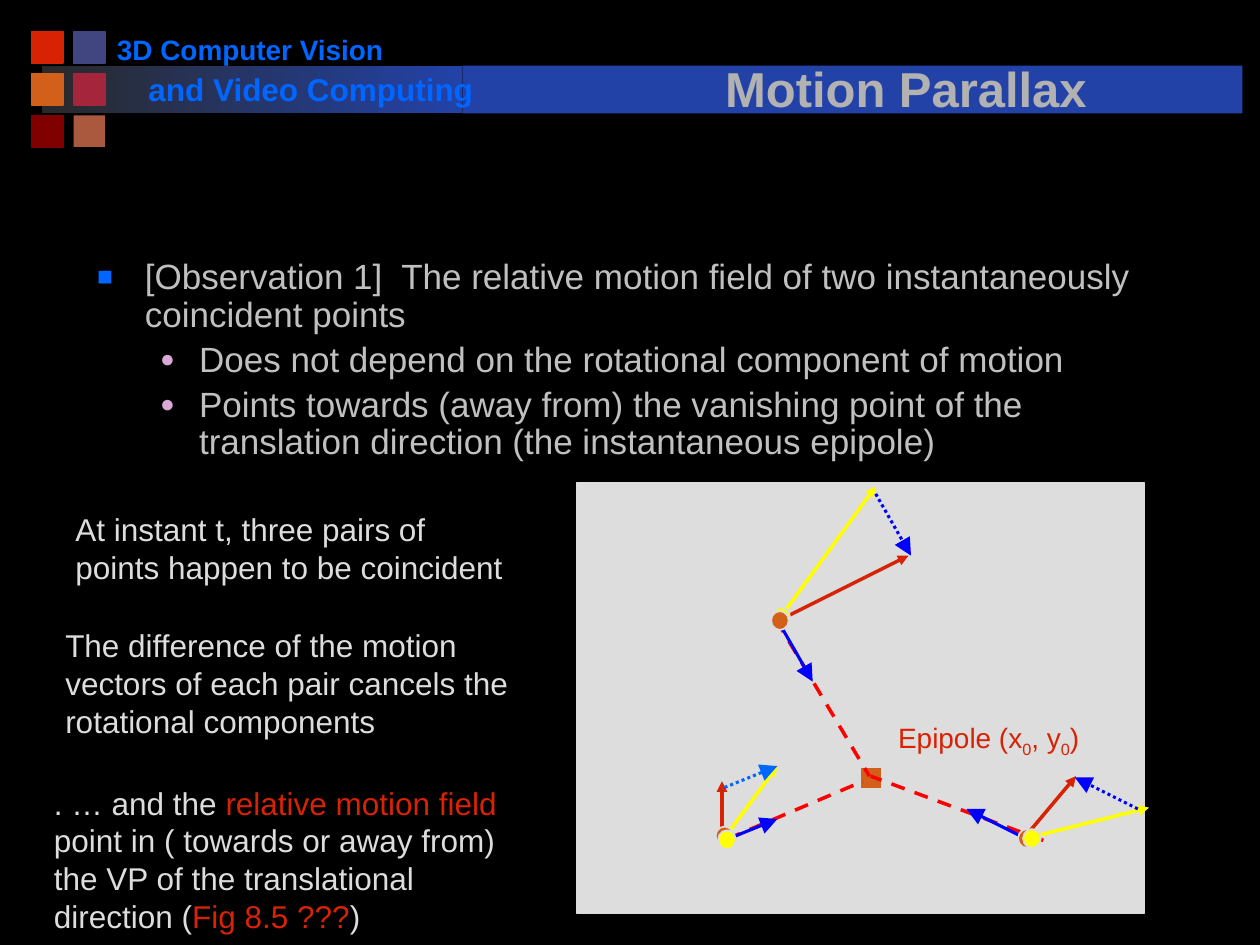
from lxml import etree
from pptx import Presentation
from pptx.dml.color import RGBColor
from pptx.enum.dml import MSO_LINE as DASH
from pptx.enum.shapes import MSO_CONNECTOR as CONN, MSO_SHAPE as SHAPE
from pptx.enum.text import MSO_ANCHOR as ANCHOR, MSO_AUTO_SIZE as AUTO, PP_ALIGN as ALIGN
from pptx.oxml.ns import qn
from pptx.util import Inches, Pt

C = {
    "black": "000000", "dark": "292929", "band": "2242A8", "blue": "0066FF",
    "title": "B2B2B2", "body": "C0C0C0", "light": "DDDDDD", "pink": "DBA9D7",
    "red": "D82204", "orange": "D2601A", "yellow": "FFFF00", "arrow": "0000FF",
    "dash": "FF0000", "indigo": "424680", "crimson": "A5253D", "maroon": "800000",
    "brown": "AA583E",
}


def rgb(name):
    """Look up a colour by name."""
    return RGBColor.from_string(C[name])


def add_sub(parent, tag, **attrs):
    """Append a DrawingML element with the given attributes."""
    el = etree.SubElement(parent, qn(tag))
    for key, value in attrs.items():
        el.set(key, str(value))
    return el


def add_run(p, text, size=18, color="light", bold=False, baseline=0):
    """Add a formatted run to a paragraph."""
    r = p.add_run()
    r.text = text
    r.font.name, r.font.size, r.font.bold = "Arial", Pt(size), bold
    r.font.color.rgb = rgb(color)
    if baseline:
        r._r.get_or_add_rPr().set("baseline", str(baseline * 1000))
    return r


def add_text(slide, x, y, w, h, runs, wrap=True, **fmt):
    """Add a text box of (text, overrides) runs sharing a format."""
    sp = slide.shapes.add_textbox(Inches(x), Inches(y), Inches(w), Inches(h))
    tf = sp.text_frame
    tf.word_wrap = wrap
    for text, own in runs:
        add_run(tf.paragraphs[0], text, **{**fmt, **own})


def add_box(slide, x, y, w, h, fill, line=None, kind=SHAPE.RECTANGLE):
    """Add a filled preset shape."""
    sp = slide.shapes.add_shape(kind, Inches(x), Inches(y), Inches(w), Inches(h))
    sp.shadow.inherit = False
    sp.fill.solid()
    sp.fill.fore_color.rgb = rgb(fill)
    if line:
        sp.line.color.rgb = rgb(line)
        sp.line.width = Pt(1)
    else:
        sp.line.fill.background()
    return sp


def add_line(slide, x, y, x1, y1, x2, y2, color, width=2, dash=None, head=None):
    """Add a line between two offsets from (x, y), with an optional arrowhead size."""
    cn = slide.shapes.add_connector(CONN.STRAIGHT, Inches(x + x1), Inches(y + y1),
                                    Inches(x + x2), Inches(y + y2))
    cn.line.color.rgb = rgb(color)
    cn.line.width = Pt(width)
    if dash:
        cn.line.dash_style = dash
    if head:
        add_sub(cn.line._get_or_add_ln(), "a:tailEnd", type="triangle", w=head, len=head)
    add_sub(cn._element.spPr, "a:effectLst")


def place(sp, x, y, w, h, anchor):
    """Move a placeholder and return its text frame."""
    sp.left, sp.top, sp.width, sp.height = map(Inches, (x, y, w, h))
    tf = sp.text_frame
    tf.word_wrap, tf.auto_size, tf.vertical_anchor = True, AUTO.NONE, anchor
    return tf


def build_header(slide, x, y):
    """Draw the band, the grid of squares and the course name."""
    band = add_box(slide, x + 0.08, y + 0.27, 3.34, 0.38, "band")
    band.fill.gradient()
    band.fill.gradient_angle = 0
    for stop, color in zip(band.fill.gradient_stops, ("dark", "band")):
        stop.color.rgb = rgb(color)
    add_box(slide, x + 3.42, y + 0.27, 6.19, 0.38, "band")
    squares = [("red", "indigo"), ("orange", "crimson"), ("maroon", "brown")]
    for row, colors in enumerate(squares):
        for col, color in enumerate(colors):
            add_box(slide, x + col / 3, y + row / 3, 0.25, 0.25, color,
                    None if color == "brown" else color)
    name = dict(color="blue", bold=True)
    add_text(slide, x + 0.58, y - 0.04, 2.32, 0.37, [("3D Computer Vision", {})],
             wrap=False, size=16, **name)
    add_text(slide, x + 0.83, y + 0.26, 2.83, 0.4, [("and Video Computing", {})], **name)


def build_title(sp, x, y, w, h):
    """Fill the title placeholder with shadowed text."""
    p = place(sp, x, y, w, h, ANCHOR.BOTTOM).paragraphs[0]
    p.alignment = ALIGN.CENTER
    r = add_run(p, "Motion Parallax", size=28, color="title", bold=True)
    effects = add_sub(r._r.get_or_add_rPr(), "a:effectLst")
    shadow = add_sub(effects, "a:outerShdw", dist=35921, dir=2700000)
    add_sub(shadow, "a:srgbClr", val=C["black"])
    fill = r._r.rPr.find(qn("a:solidFill"))
    fill.addnext(effects)


def build_body(sp, x, y, w, h):
    """Fill the body placeholder with the two-level list."""
    tf = place(sp, x, y, w, h, ANCHOR.TOP)
    styles = [(0.38, -0.38, "■", "blue", 75), (0.81, -0.31, "●", "pink", 70)]
    items = [
        (0, "[Observation 1]  The relative motion field of two instantaneously coincident points"),
        (1, "Does not depend on the rotational component of motion"),
        (1, "Points towards (away from) the vanishing point of the translation direction "
            "(the instantaneous epipole)"),
    ]
    for i, (level, text) in enumerate(items):
        p = tf.add_paragraph() if i else tf.paragraphs[0]
        margin, indent, char, color, size = styles[level]
        p.level, p.line_spacing, p.space_before = level, 0.9, Pt(4 if i else 0)
        pPr = p._p.get_or_add_pPr()
        pPr.set("marL", str(Inches(margin)))
        pPr.set("indent", str(Inches(indent)))
        add_sub(add_sub(pPr, "a:buClr"), "a:srgbClr", val=C[color])
        add_sub(pPr, "a:buSzPct", val=size * 1000)
        add_sub(pPr, "a:buFont", typeface="Arial")
        add_sub(pPr, "a:buChar", char=char)
        add_run(p, text, size=20, color="body")


def build_notes(slide, x, y):
    """Write the three explanations beside the diagram."""
    red = dict(color="red")
    add_text(slide, x + 0.17, y, 3.67, 0.7,
             [("At instant t, three pairs of points happen to be coincident", {})])
    add_text(slide, x + 0.09, y + 0.92, 3.83, 1,
             [("The difference of the motion vectors of each pair cancels "
               "the rotational components", {})])
    add_text(slide, x, y + 2.17, 4, 1.3, [
        (". … and the ", {}), ("relative motion field", red),
        (" point in ( towards or away from) the VP of the translational direction (", {}),
        ("Fig 8.5 ???", red), (")", {})])


def build_diagram(slide, x, y, w, h):
    """Draw the point pairs, their motion vectors and the epipole."""
    add_box(slide, x, y, w, h, "light", "light")
    add_box(slide, x + 2.25, y + 2.26, 0.17, 0.17, "orange", "light")
    sub = dict(baseline=-25)
    add_text(slide, x + 2.45, y + 1.84, 1.75, 0.37,
             [("Epipole (x", {}), ("0", sub), (", y", {}), ("0", sub), (")", {})],
             size=16, color="red")
    for ends in [(1.58, 1.09, 2.32, 2.33), (1.19, 2.83, 2.27, 2.37), (3.7, 2.84, 2.33, 2.33)]:
        add_line(slide, x, y, *ends, "dash", dash=DASH.DASH)
    for ends in [(1.59, 1.09, 1.87, 1.58), (3.59, 2.84, 3.09, 2.59), (1.17, 2.84, 1.59, 2.67)]:
        add_line(slide, x, y, *ends, "arrow", width=1.75, head="lg")
    pairs = [
        ((1.14, 2.86, 1.59, 2.25), (1.15, 2.84, 1.15, 2.37),
         [(1.1, 2.73, "orange"), (1.12, 2.76, "yellow")]),
        ((1.62, 1.06, 2.37, 0.03), (1.63, 1.08, 2.63, 0.58),
         [(1.55, 0.99, "yellow"), (1.54, 1.02, "orange")]),
        ((3.54, 2.83, 4.54, 2.58), (3.54, 2.83, 3.96, 2.33),
         [(3.5, 2.75, "orange"), (3.54, 2.75, "yellow")]),
    ]
    for yellow, red, dots in pairs:
        add_line(slide, x, y, *yellow, "yellow", head="med")
        add_line(slide, x, y, *red, "red", head="med")
        for dx, dy, color in dots:
            add_box(slide, x + dx, y + dy, 0.14, 0.15, color, "light", SHAPE.OVAL)
    for *ends, color in [(2.37, 0.09, 2.65, 0.58, "arrow"), (4.45, 2.59, 3.95, 2.34, "arrow"),
                         (1.17, 2.42, 1.59, 2.25, "blue")]:
        add_line(slide, x, y, *ends, color, width=1.75, dash=DASH.ROUND_DOT, head="lg")


def main():
    """Build the slide and save it."""
    prs = Presentation()
    prs.slide_width, prs.slide_height = Inches(10), Inches(7.5)
    slide = prs.slides.add_slide(prs.slide_layouts[1])
    slide.background.fill.solid()
    slide.background.fill.fore_color.rgb = rgb("black")
    title, body = slide.placeholders
    build_header(slide, 0.25, 0.25)
    build_title(title, 4.42, 0.31, 5.54, 0.67)
    build_body(body, 0.67, 2.01, 8.58, 1.83)
    build_notes(slide, 0.33, 4)
    build_diagram(slide, 4.58, 3.83, 4.5, 3.42)
    tree = slide.shapes._spTree
    for sp in (title, body):
        tree.append(sp._element)
    prs.save("out.pptx")


if __name__ == "__main__":
    main()
